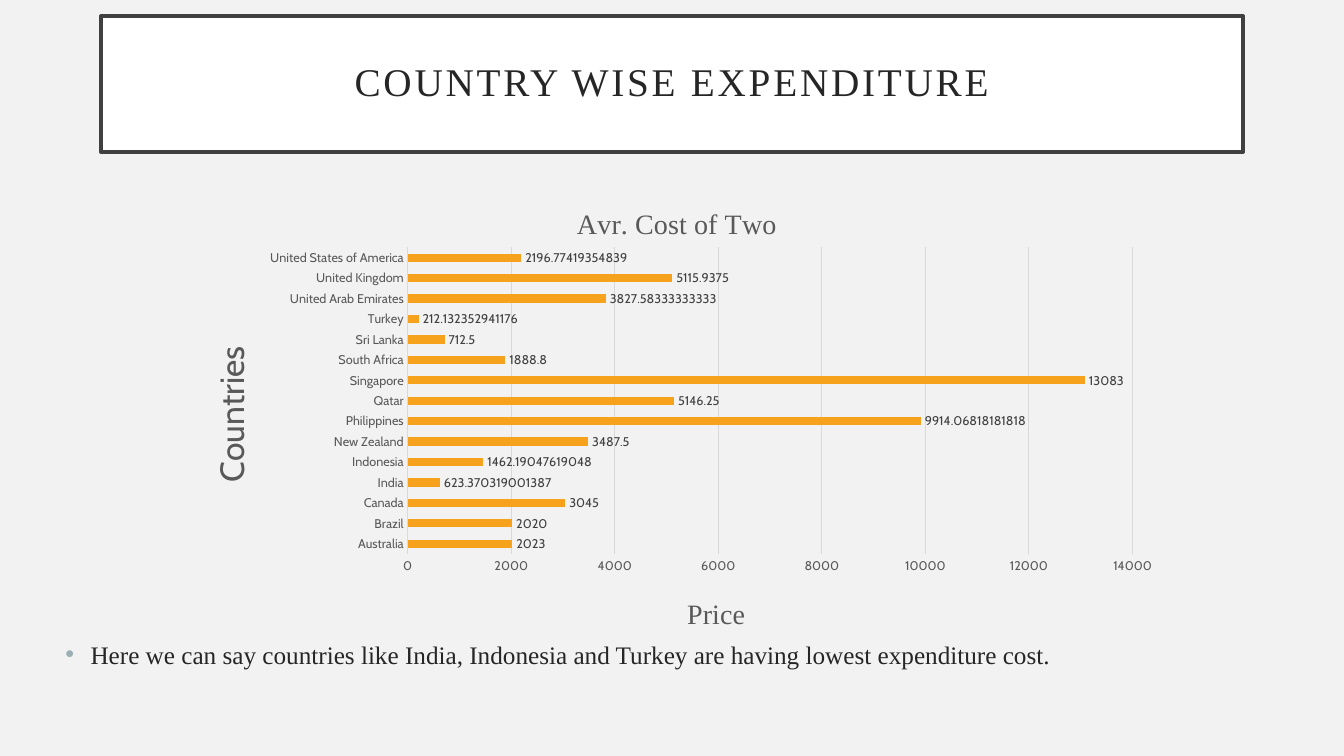
from lxml.etree import SubElement
from pptx import Presentation
from pptx.chart.data import CategoryChartData
from pptx.dml.color import RGBColor
from pptx.enum.chart import XL_CHART_TYPE as ChartType, XL_LABEL_POSITION as LabelPos
from pptx.enum.chart import XL_TICK_MARK as Tick
from pptx.enum.shapes import MSO_SHAPE as Shape
from pptx.enum.text import MSO_ANCHOR as Anchor, PP_ALIGN as Align
from pptx.oxml import parse_xml
from pptx.oxml.ns import nsdecls, qn
from pptx.util import Inches, Pt

TITLE = "COUNTRY WISE EXPENDITURE"
REMARK = "Here we can say countries like India, Indonesia and Turkey are having lowest expenditure cost."
COSTS = {
    "Australia": 2023,
    "Brazil": 2020,
    "Canada": 3045,
    "India": 623.370319001387,
    "Indonesia": 1462.19047619048,
    "New Zealand": 3487.5,
    "Philippines": 9914.06818181818,
    "Qatar": 5146.25,
    "Singapore": 13083,
    "South Africa": 1888.8,
    "Sri Lanka": 712.5,
    "Turkey": 212.132352941176,
    "United Arab Emirates": 3827.58333333333,
    "United Kingdom": 5115.9375,
    "United States of America": 2196.77419354839,
}

SERIF, SANS = "Times New Roman", "Cabin"
PAPER = RGBColor(0xF2, 0xF2, 0xF2)
WHITE = RGBColor(0xFF, 0xFF, 0xFF)
FRAME = RGBColor(0x40, 0x40, 0x40)
INK = RGBColor(0x26, 0x26, 0x26)
GREY = RGBColor(0x59, 0x59, 0x59)
GRID = RGBColor(0xD9, 0xD9, 0xD9)
ORANGE = RGBColor(0xF6, 0xA2, 0x1D)
BULLET = RGBColor(0x9B, 0xAF, 0xB5)

# left, top, width, height in inches
TITLE_BOX = (1, 0.16, 11.33, 1.35)
CHART_BOX = (1.7, 1.81, 9.93, 4.61)
REMARK_BOX = (0.55, 6.29, 11.9, 0.63)
# shares of the chart's size
PLOT = {"x": 0.236, "y": 0.14, "w": 0.724, "h": 0.66}
TITLE_AT = {"x": 0.4, "y": 0.04}
COUNTRIES_AT = {"x": 0.03, "y": 0.34}
PRICE_AT = {"x": 0.51, "y": 0.88}


def style(font, name, size, color):
    for key, value in {"name": name, "size": Pt(size), "bold": False}.items():
        setattr(font, key, value)
    font.color.rgb = color


def place(element, shares, inner=False):
    """Fix a chart part at the given shares of the chart's size."""
    for old in element.findall(qn("c:layout")):
        element.remove(old)
    target = '<c:layoutTarget val="inner"/>' if inner else ""
    modes = "".join(f'<c:{k}Mode val="edge"/>' for k in shares if k in "xy")
    values = "".join(f'<c:{k} val="{v}"/>' for k, v in shares.items())
    layout = parse_xml(f'<c:layout {nsdecls("c")}><c:manualLayout>{target}{modes}{values}'
                       "</c:manualLayout></c:layout>")
    tx = element.find(qn("c:tx"))
    if tx is None:
        element.insert(0, layout)
    else:
        tx.addnext(layout)


def add_title(owner, text, name, size, shares):
    """Title a chart or an axis."""
    title = owner.chart_title if hasattr(owner, "chart_title") else owner.axis_title
    p = title.text_frame.paragraphs[0]
    r = p.add_run()
    r.text = text
    style(r.font, name, size, GREY)
    place(title._element, shares)
    return title


def add_heading(slide):
    sp = slide.shapes.add_shape(Shape.RECTANGLE, *map(Inches, TITLE_BOX))
    sp.shadow.inherit = False
    sp.fill.solid()
    sp.fill.fore_color.rgb = WHITE
    sp.line.color.rgb, sp.line.width = FRAME, Pt(2.5)
    tf = sp.text_frame
    tf.vertical_anchor = Anchor.MIDDLE
    p = tf.paragraphs[0]
    p.alignment, p.line_spacing = Align.CENTER, 0.9
    r = p.add_run()
    r.text = TITLE
    style(r.font, SERIF, 28, INK)
    r.font._element.set("spc", "200")


def add_remark(slide):
    tf = slide.shapes.add_textbox(*map(Inches, REMARK_BOX)).text_frame
    tf.word_wrap = True
    p = tf.paragraphs[0]
    r = p.add_run()
    r.text = REMARK
    style(r.font, SERIF, 18, INK)
    pPr = p._p.get_or_add_pPr()
    pPr.set("marL", str(Inches(0.25)))
    pPr.set("indent", str(-Inches(0.25)))
    SubElement(SubElement(pPr, qn("a:buClr")), qn("a:srgbClr"), val=str(BULLET))
    SubElement(pPr, qn("a:buFont"), typeface="Arial")
    SubElement(pPr, qn("a:buChar"), char="•")


def add_cost_chart(slide):
    data = CategoryChartData()
    data.categories = list(COSTS)
    data.add_series("Series 1", list(COSTS.values()))
    chart = slide.shapes.add_chart(ChartType.BAR_CLUSTERED, *map(Inches, CHART_BOX), data).chart
    style(chart.font, SANS, 10, GREY)
    chart.has_legend = False
    add_title(chart, "Avr. Cost of Two", SERIF, 20, TITLE_AT)

    countries, price = chart.category_axis, chart.value_axis
    for axis in (countries, price):
        axis.major_tick_mark = axis.minor_tick_mark = Tick.NONE
        axis.format.line.fill.background()
        style(axis.tick_labels.font, SANS, 9, GREY)
    heading = add_title(countries, "Countries", SANS, 24, COUNTRIES_AT)
    body = heading.text_frame._txBody.find(qn("a:bodyPr"))
    body.set("rot", "-5400000")
    body.set("vert", "horz")
    add_title(price, "Price", SERIF, 20, PRICE_AT)
    price.minimum_scale, price.maximum_scale, price.major_unit = 0, 14000, 2000
    grid = price.major_gridlines.format.line
    grid.color.rgb, grid.width = GRID, Pt(0.75)

    plot = chart.plots[0]
    plot.gap_width, plot.vary_by_categories = 150, False
    fill = plot.series[0].format.fill
    fill.solid()
    fill.fore_color.rgb = ORANGE
    plot.has_data_labels = True
    labels = plot.data_labels
    for key, value in {"show_value": True, "position": LabelPos.OUTSIDE_END,
                       "number_format": "General", "number_format_is_linked": False}.items():
        setattr(labels, key, value)
    style(labels.font, SANS, 9, FRAME)
    place(chart._chartSpace.chart.plotArea, PLOT, inner=True)


def main():
    prs = Presentation()
    prs.slide_width, prs.slide_height = Inches(13.33), Inches(7.5)
    slide = prs.slides.add_slide(prs.slide_layouts[6])
    slide.background.fill.solid()
    slide.background.fill.fore_color.rgb = PAPER
    add_heading(slide)
    add_remark(slide)
    add_cost_chart(slide)
    prs.save("out.pptx")


if __name__ == "__main__":
    main()
